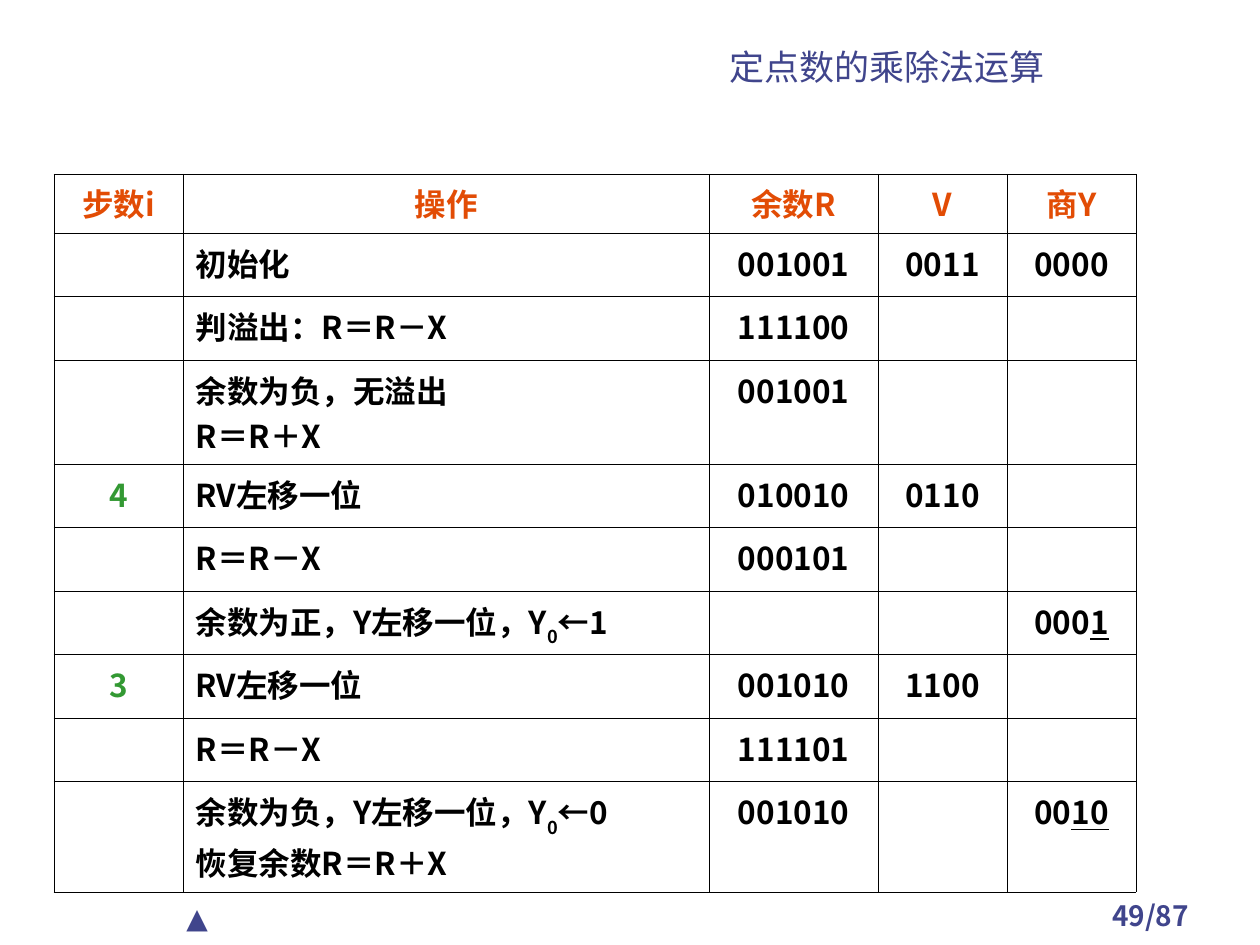
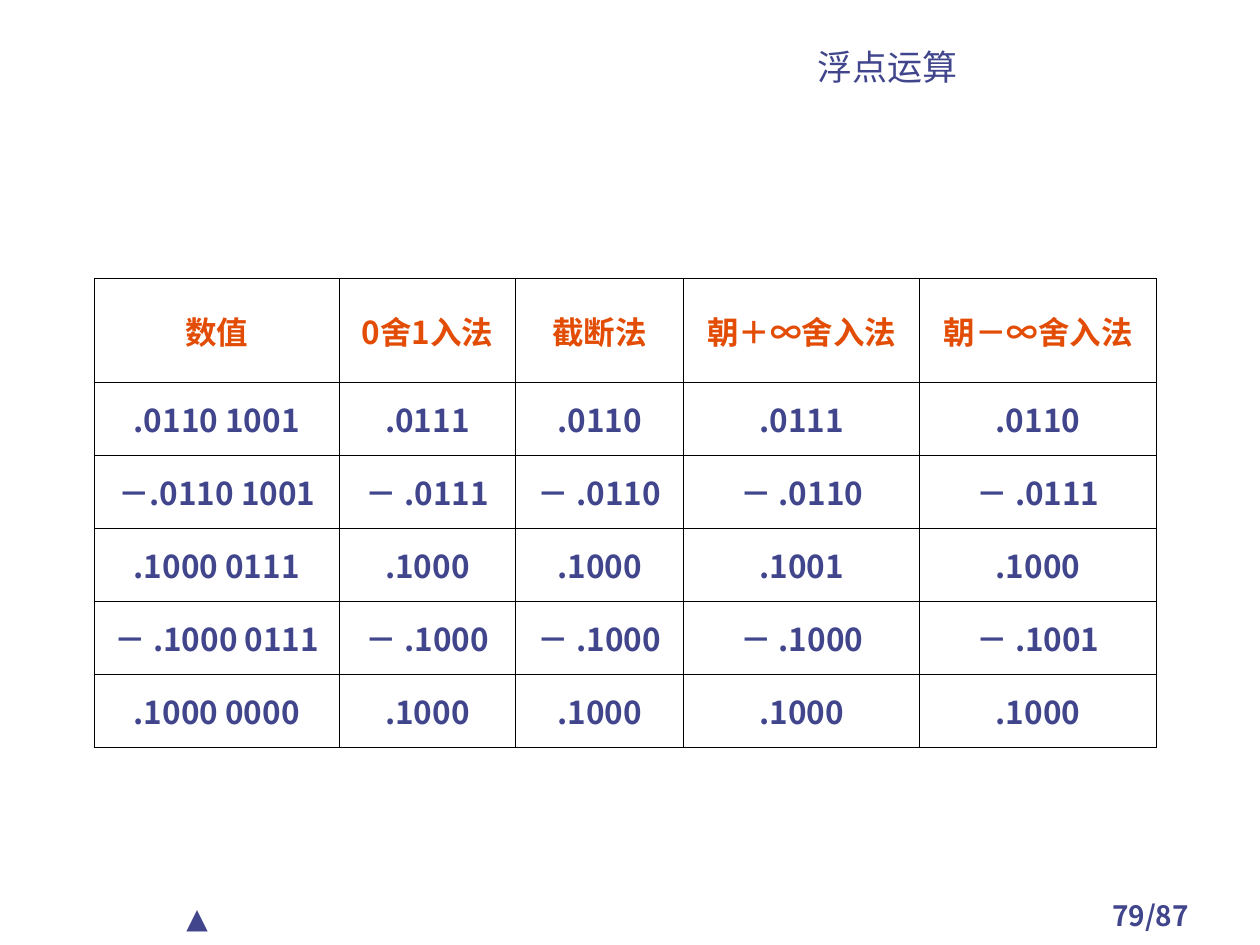
"""Build two slides with tables on fixed-point division and floating-point rounding."""
from dataclasses import dataclass

from lxml import etree
from pptx import Presentation
from pptx.dml.color import RGBColor
from pptx.enum.text import MSO_ANCHOR, PP_ALIGN
from pptx.oxml.ns import qn
from pptx.util import Cm, Pt

CENTER, LEFT = PP_ALIGN.CENTER, PP_ALIGN.LEFT
TOP, MIDDLE, BOTTOM = MSO_ANCHOR.TOP, MSO_ANCHOR.MIDDLE, MSO_ANCHOR.BOTTOM
COLORS = {
    "indigo": "40458C",
    "orange": "E24C05",
    "green": "339933",
    "black": "000000",
}
HEADING_FONT, BODY_FONT = "Cabin", "Noto Sans CJK SC"
BORDER_WIDTH = Pt(0.45)
PAGE_TOTAL = 87


@dataclass(frozen=True)
class Style:
    size: int
    color: str
    font: str = BODY_FONT
    bold: bool = False
    align: PP_ALIGN = CENTER


@dataclass(frozen=True)
class Label:
    left: float
    top: float
    width: float
    height: float
    style: Style
    anchor: MSO_ANCHOR = TOP
    padded: bool = True


@dataclass(frozen=True)
class Span:
    text: str
    underline: bool = False
    subscript: bool = False


Line = str | tuple[Span, ...]
Cell = Line | list[Line]


@dataclass(frozen=True)
class Column:
    width: float
    color: str
    align: PP_ALIGN = CENTER


@dataclass(frozen=True)
class Grid:
    left: float
    top: float
    columns: list[Column]
    heights: list[float]
    rows: list[list[Cell]]
    anchor: MSO_ANCHOR


@dataclass(frozen=True)
class Page:
    title: str
    number: int
    grid: Grid


TITLE = Label(10.8, 0.69, 14.17, 1.07, Style(20, "indigo", HEADING_FONT), BOTTOM, False)
PAGE_NUMBER = Label(21.39, 17.98, 3.61, 0.84, Style(16, "indigo", bold=True))
BACK_MARK = Label(3.51, 18.03, 3.61, 0.94, Style(16, "indigo", HEADING_FONT, align=LEFT))


def quotient_digit(remainder: str, digit: str) -> tuple[Span, ...]:
    return (Span(f"余数为{remainder}，Y左移一位，Y"), Span("0", subscript=True), Span(f"←{digit}"))


def quotient(pending: str, settled: str) -> tuple[Span, ...]:
    return Span(pending), Span(settled, underline=True)


DIVISION = Grid(
    left=1.09,
    top=3.51,
    columns=[
        Column(2.6, "green"),
        Column(10.61, "black", LEFT),
        Column(3.4, "black"),
        Column(2.6, "black"),
        Column(2.6, "black"),
    ],
    heights=[1.19, 1.28, 1.28, 2.1, *[1.28] * 5, 2.22],
    rows=[
        ["步数i", "操作", "余数R", "V", "商Y"],
        ["", "初始化", "001001", "0011", "0000"],
        ["", "判溢出：R＝R－X", "111100", "", ""],
        ["", ["余数为负，无溢出", "R＝R＋X"], "001001", "", ""],
        ["4", "RV左移一位", "010010", "0110", ""],
        ["", "R＝R－X", "000101", "", ""],
        ["", quotient_digit("正", "1"), "", "", quotient("000", "1")],
        ["3", "RV左移一位", "001010", "1100", ""],
        ["", "R＝R－X", "111101", "", ""],
        ["", [quotient_digit("负", "0"), "恢复余数R＝R＋X"], "001010", "", quotient("00", "10")],
    ],
    anchor=TOP,
)
ROUNDING = Grid(
    left=1.9,
    top=5.61,
    columns=[Column(width, "indigo") for width in (4.94, 3.55, 3.39, 4.76, 4.77)],
    heights=[2.1, *[1.47] * 5],
    rows=[
        ["数值", "0舍1入法", "截断法", "朝＋∞舍入法", "朝－∞舍入法"],
        [".0110 1001", ".0111", ".0110", ".0111", ".0110"],
        ["－.0110 1001", "－ .0111", "－ .0110", "－ .0110", "－ .0111"],
        [".1000 0111", ".1000", ".1000", ".1001", ".1000"],
        ["－ .1000 0111", "－ .1000", "－ .1000", "－ .1000", "－ .1001"],
        [".1000 0000", ".1000", ".1000", ".1000", ".1000"],
    ],
    anchor=MIDDLE,
)
PAGES = [Page("定点数的乘除法运算", 49, DIVISION), Page("浮点运算", 79, ROUNDING)]


def write_line(para, line: Line, style: Style) -> None:
    para.alignment = style.align
    font = para.font
    font.size, font.bold, font.name = Pt(style.size), style.bold, style.font
    font.color.rgb = RGBColor.from_string(COLORS[style.color])
    properties = para._p.pPr.find(qn("a:defRPr"))
    etree.SubElement(properties, qn("a:ea"), typeface=BODY_FONT)
    for span in (Span(line),) if isinstance(line, str) else line:
        if not span.text:
            continue
        run = para.add_run()
        run.text = span.text
        if span.underline:
            run.font.underline = True
        if span.subscript:
            run._r.get_or_add_rPr().set("baseline", "-30000")


def draw_label(slide, label: Label, text: str) -> None:
    box = slide.shapes.add_textbox(
        Cm(label.left), Cm(label.top), Cm(label.width), Cm(label.height))
    frame = box.text_frame
    frame.word_wrap = True
    frame.vertical_anchor = label.anchor
    if not label.padded:
        frame.margin_left = frame.margin_right = frame.margin_top = frame.margin_bottom = 0
    write_line(frame.paragraphs[0], text, label.style)


def draw_borders(cell) -> None:
    properties = cell._tc.get_or_add_tcPr()
    for side in ("lnL", "lnR", "lnT", "lnB"):
        border = etree.SubElement(properties, qn(f"a:{side}"), w=str(BORDER_WIDTH))
        fill = etree.SubElement(border, qn("a:solidFill"))
        etree.SubElement(fill, qn("a:srgbClr"), val=COLORS["black"])


def fill_cell(cell, content: Cell, style: Style, anchor: MSO_ANCHOR) -> None:
    draw_borders(cell)
    cell.fill.background()
    cell.vertical_anchor = anchor
    frame = cell.text_frame
    for index, line in enumerate(content if isinstance(content, list) else [content]):
        para = frame.add_paragraph() if index else frame.paragraphs[0]
        write_line(para, line, style)


def draw_grid(slide, grid: Grid) -> None:
    table = slide.shapes.add_table(
        len(grid.rows), len(grid.columns), Cm(grid.left), Cm(grid.top),
        Cm(sum(column.width for column in grid.columns)), Cm(sum(grid.heights))).table
    table.first_row = table.horz_banding = False
    for index, column in enumerate(grid.columns):
        table.columns[index].width = Cm(column.width)
    for row_index, (height, row) in enumerate(zip(grid.heights, grid.rows)):
        table.rows[row_index].height = Cm(height)
        for column_index, (column, content) in enumerate(zip(grid.columns, row)):
            if row_index == 0:
                style = Style(18, "orange", bold=True)
            else:
                style = Style(18, column.color, bold=True, align=column.align)
            fill_cell(table.cell(row_index, column_index), content, style, grid.anchor)


def main() -> None:
    deck = Presentation()
    deck.slide_width, deck.slide_height = Cm(25.4), Cm(19.05)
    for page in PAGES:
        slide = deck.slides.add_slide(deck.slide_layouts[6])
        draw_label(slide, PAGE_NUMBER, f"{page.number}/{PAGE_TOTAL}")
        draw_label(slide, BACK_MARK, "▲")
        draw_label(slide, TITLE, page.title)
        draw_grid(slide, page.grid)
    deck.save("out.pptx")


if __name__ == "__main__":
    main()
